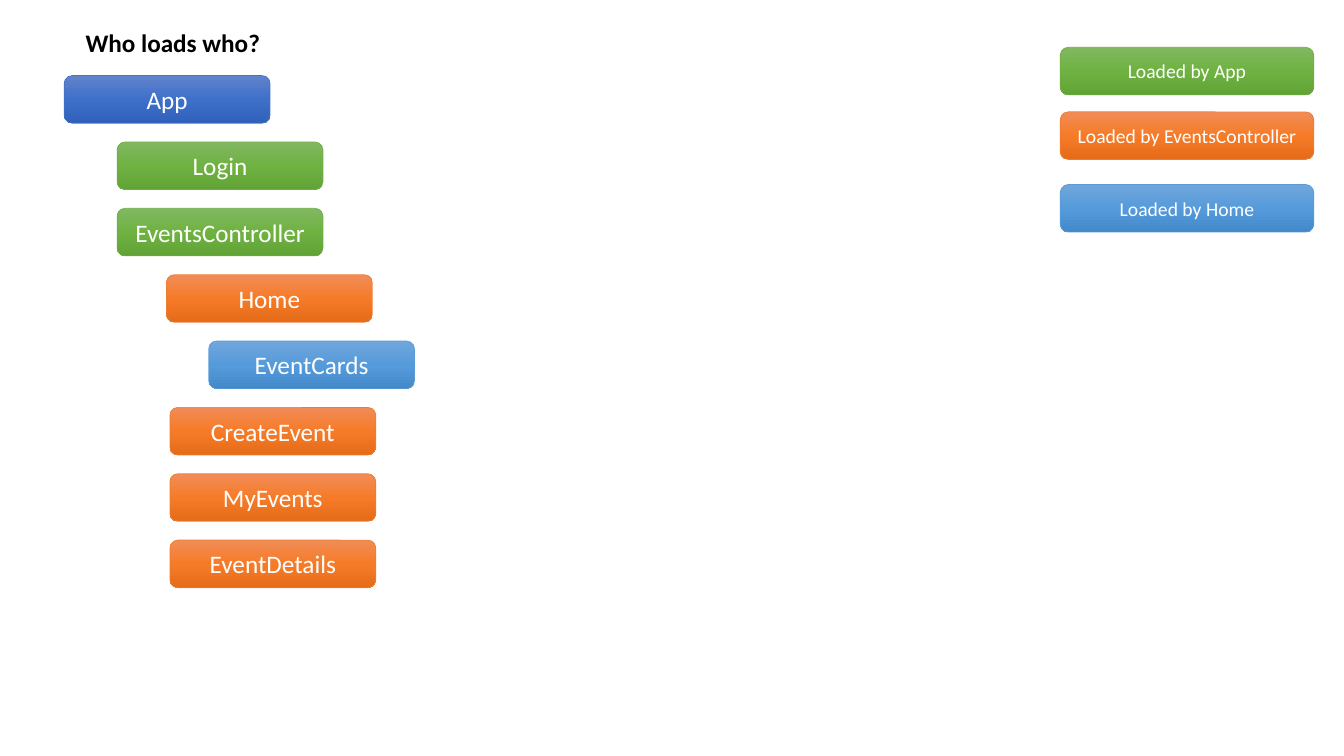
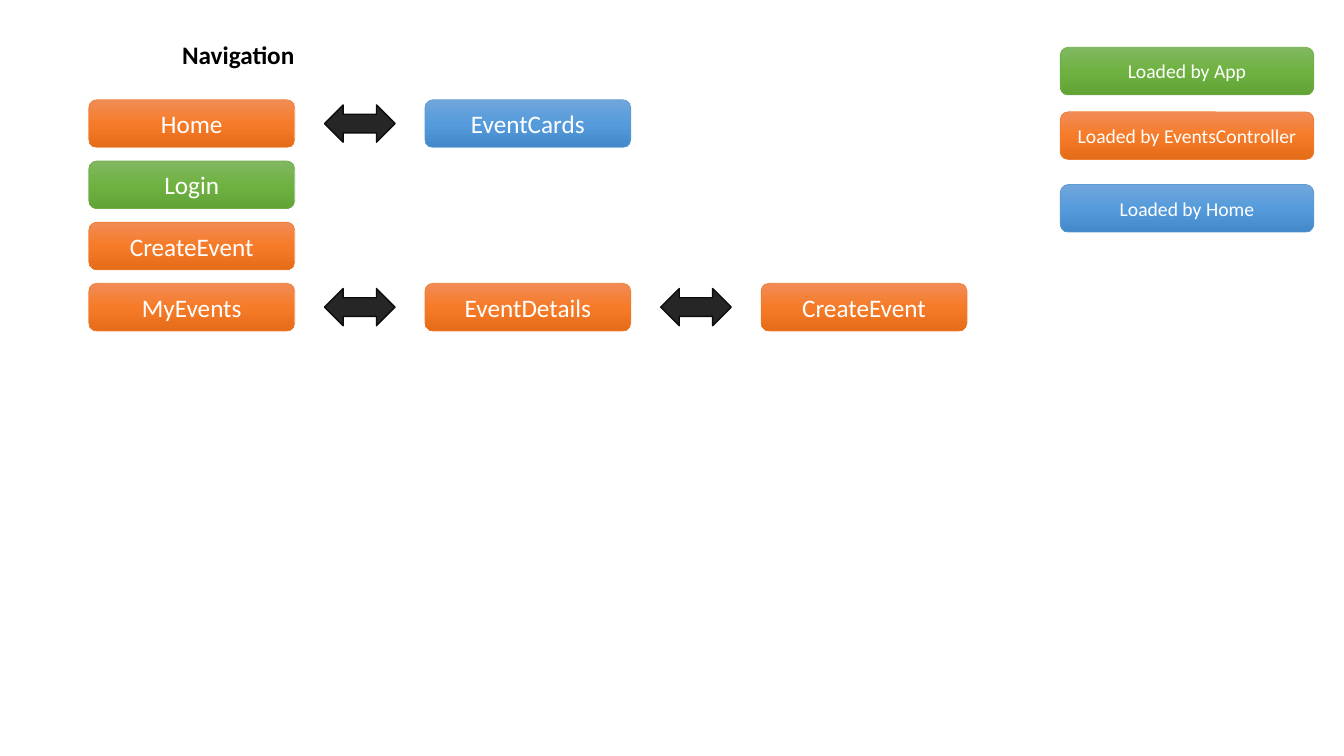
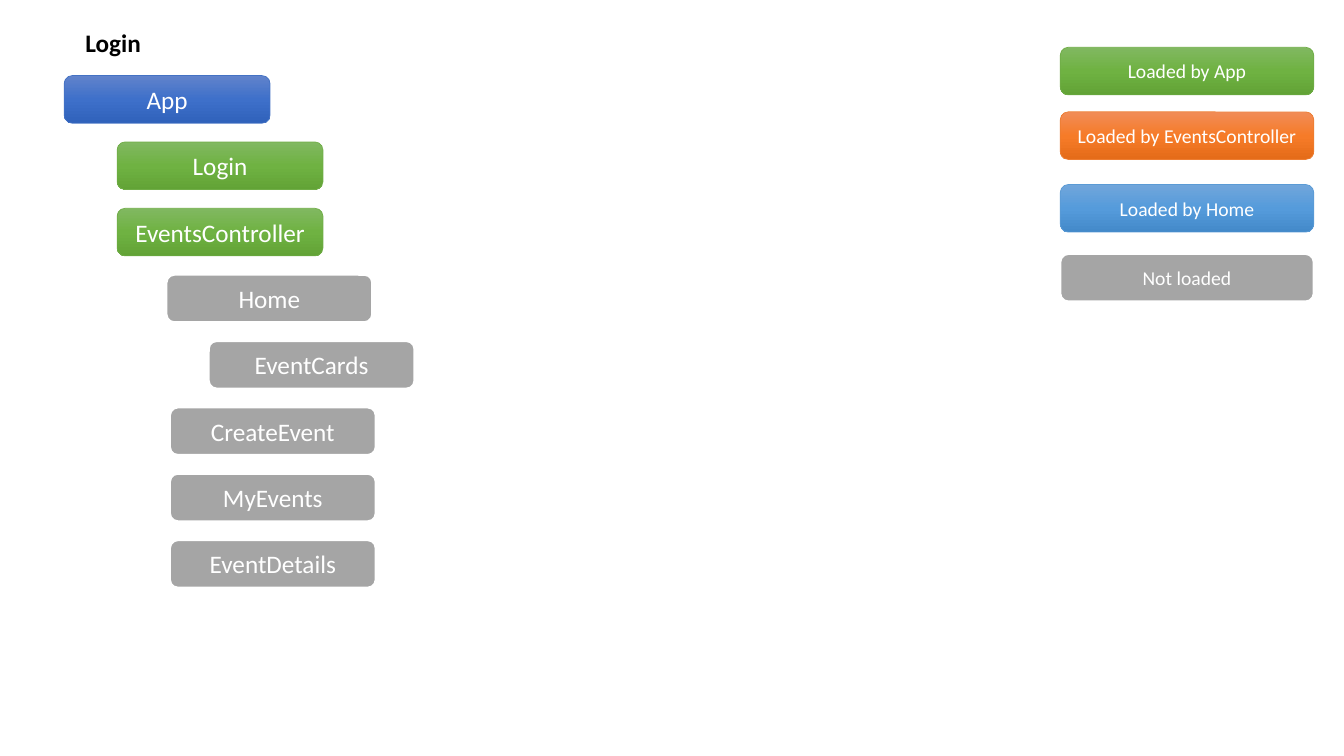
from copy import deepcopy

from pptx import Presentation
from pptx.dml.color import RGBColor
from pptx.enum import shapes, text
from pptx.oxml.ns import qn
from pptx.util import Pt

FONT = "Calibri"
COLORS = {"text": "FFFFFF", "title": "000000", "arrow": "262626", "arrow_line": "0D0D0D",
          "idle": "A5A5A5", "idle_line": "FFFFFF",
          "root_line": "4472C4", "app_line": "70AD47",
          "controller_line": "ED7D31", "home_line": "5B9BD5"}
# Top, middle and bottom of each card gradient, keyed by what loads the card
GRADIENTS = {"root": ("6183CB", "3E70CA", "3062BB"),
             "app": ("81B861", "6FB242", "62A336"),
             "controller": ("F18C57", "F67B28", "E56C19"),
             "home": ("71A6DB", "559BDB", "448ACA")}

CARD_W, CARD_H = 147, 34
LEGEND_X, LEGEND_W = 757.4, 181
LEGEND = [("Loaded by App", "app", 33.8),
          ("Loaded by EventsController", "controller", 79.9),
          ("Loaded by Home", "home", 131.8)]
NOT_LOADED = ("Not loaded", "idle", 181.4)

TREE_STEP = 47.4
# Name, loader, indent from the root card
TREE = [("App", "root", 0), ("Login", "app", 37.8), ("EventsController", "app", 37.8),
        ("Home", "controller", 73), ("EventCards", "home", 103.2),
        ("CreateEvent", "controller", 75.5), ("MyEvents", "controller", 75.5),
        ("EventDetails", "controller", 75.5)]

NAV_STEP_X, NAV_STEP_Y = 240.1, 43.7
ARROW_W, ARROW_H = 50.4, 26.6
NAV_ROWS = [[("Home", "controller"), ("EventCards", "home")],
            [("Login", "app")],
            [("CreateEvent", "controller")],
            [("MyEvents", "controller"), ("EventDetails", "controller"),
             ("CreateEvent", "controller")]]


def rgb(name):
    return RGBColor.from_string(COLORS.get(name, name))


def style_text(p, size, color, bold=False):
    p.font.name, p.font.size, p.font.bold = FONT, Pt(size), bold
    p.font.color.rgb = rgb(color)


def fill_gradient(sp, colors):
    """Fill top to bottom with evenly spaced colour stops."""
    sp.fill.gradient()
    sp.fill.gradient_angle = 270
    stop_list = sp._element.spPr.find(qn("a:gradFill")).find(qn("a:gsLst"))
    while len(stop_list) < len(colors):
        stop_list.append(deepcopy(stop_list[-1]))
    for i, (stop, color) in enumerate(zip(sp.fill.gradient_stops, colors)):
        stop.position = i / (len(colors) - 1)
        stop.color.rgb = rgb(color)


def add_preset(s, kind, x, y, w, h, line, line_width):
    sp = s.shapes.add_shape(kind, Pt(x), Pt(y), Pt(w), Pt(h))
    sp.shadow.inherit = False
    sp.line.color.rgb = rgb(line)
    sp.line.width = Pt(line_width)
    return sp


def add_card(s, label, loader, x, y, w=CARD_W, size=18):
    sp = add_preset(s, shapes.MSO_SHAPE.ROUNDED_RECTANGLE, x, y, w, CARD_H,
                    loader + "_line", 1.5 if loader == "idle" else 0.5)
    if loader in GRADIENTS:
        fill_gradient(sp, GRADIENTS[loader])
    else:
        sp.fill.solid()
        sp.fill.fore_color.rgb = rgb(loader)
    tf = sp.text_frame
    tf.text = label
    tf.vertical_anchor = text.MSO_ANCHOR.MIDDLE
    tf.paragraphs[0].alignment = text.PP_ALIGN.CENTER
    style_text(tf.paragraphs[0], size, "text")


def add_arrow(s, x, y):
    sp = add_preset(s, shapes.MSO_SHAPE.LEFT_RIGHT_ARROW, x, y, ARROW_W, ARROW_H,
                    "arrow_line", 1)
    sp.fill.solid()
    sp.fill.fore_color.rgb = rgb("arrow")


def add_title(s, title, x, y, w):
    tf = s.shapes.add_textbox(Pt(x), Pt(y), Pt(w), Pt(29)).text_frame
    tf.word_wrap = False
    tf.auto_size = text.MSO_AUTO_SIZE.SHAPE_TO_FIT_TEXT
    tf.text = title
    style_text(tf.paragraphs[0], 18, "title", bold=True)


def add_legend(s, entries):
    for label, loader, y in entries:
        add_card(s, label, loader, LEGEND_X, y, LEGEND_W, 14)


def add_tree(s, x, y, loaded):
    """Indented load tree; cards whose loader is not in loaded are grey."""
    for i, (label, loader, indent) in enumerate(TREE):
        add_card(s, label, loader if loader in loaded else "idle",
                 x + indent, y + i * TREE_STEP)


def add_navigation(s, x, y):
    """Rows of cards, with a two-way arrow centred in each gap."""
    for i, row in enumerate(NAV_ROWS):
        top = y + i * NAV_STEP_Y
        for j, (label, loader) in enumerate(row):
            left = x + j * NAV_STEP_X
            add_card(s, label, loader, left, top)
            if j:
                gap = NAV_STEP_X - CARD_W
                add_arrow(s, left - (gap + ARROW_W) / 2, top + (CARD_H - ARROW_H) / 2)


def new_slide(prs, title, x, y, w, legend=LEGEND):
    s = prs.slides.add_slide(prs.slide_layouts[6])
    add_title(s, title, x, y, w)
    add_legend(s, legend)
    return s


def main():
    prs = Presentation()
    prs.slide_width, prs.slide_height = Pt(960), Pt(540)

    s = new_slide(prs, "Who loads who?", 54, 16, 140.4)
    add_tree(s, 45.9, 54, loaded=GRADIENTS)

    s = new_slide(prs, "Navigation", 123, 24.5, 95.8)
    add_navigation(s, 63.5, 71.3)

    s = new_slide(prs, "Login", 54, 16, 54.7, LEGEND + [NOT_LOADED])
    add_tree(s, 45.9, 54, loaded=("root", "app"))

    prs.save("out.pptx")


if __name__ == "__main__":
    main()
